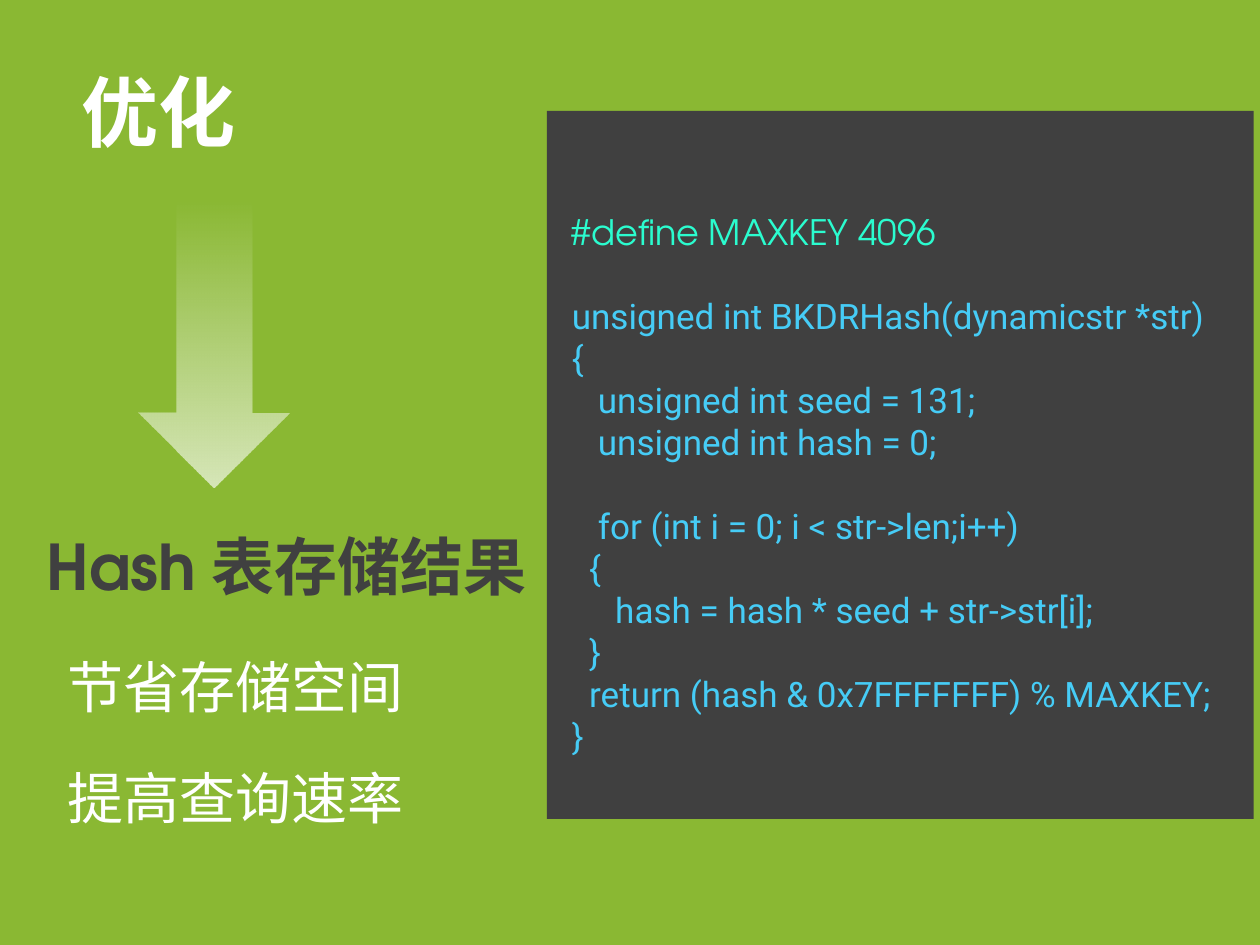
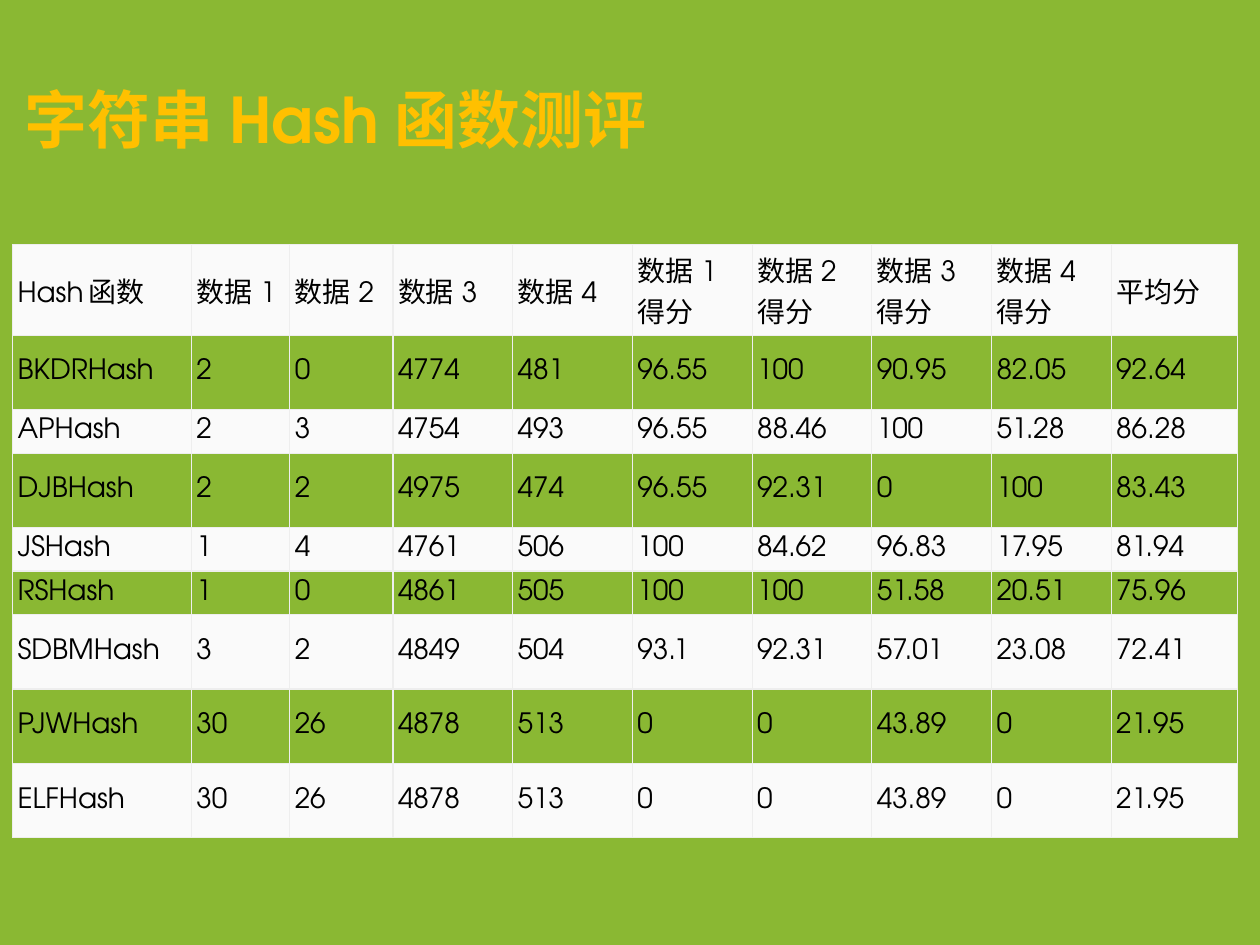
"""Build two slides on storing results in a hash table and comparing string hash functions."""
from dataclasses import dataclass

from lxml.etree import SubElement
from pptx import Presentation
from pptx.dml.color import RGBColor
from pptx.enum.shapes import MSO_SHAPE
from pptx.enum.text import MSO_ANCHOR
from pptx.oxml.ns import qn
from pptx.slide import Slide
from pptx.table import _Cell
from pptx.util import Inches, Pt

COLORS = {
    "background": "8AB833",
    "panel": "404040",
    "white": "FFFFFF",
    "gold": "FFC000",
    "directive": "2BFCCF",
    "code": "46CCF6",
    "black": "000000",
    "row": "FAFAFA",
    "border": "EEEEEE",
}
HEADING_FONT = "TeX Gyre Adventor"
BODY_FONT = "Noto Sans CJK SC"
CODE_FONT = "Roboto"

CODE = """unsigned int BKDRHash(dynamicstr *str)
{
   unsigned int seed = 131;
   unsigned int hash = 0;

   for (int i = 0; i < str->len;i++)
  {
     hash = hash * seed + str->str[i];
  }
  return (hash & 0x7FFFFFFF) % MAXKEY;
}"""

COLUMN_WIDTHS = [1.42, 0.78, 0.82] + [0.95] * 6 + [1]
HEADER_ROW, TALL_ROW, SHORT_ROW = 0.72, 0.59, 0.34
SHORT_ROWS = {"APHash", "JSHash", "RSHash"}
DATASETS = [f"数据{number}" for number in range(1, 5)]
HEADER = ["Hash函数", *DATASETS, *(f"{name}得分" for name in DATASETS), "平均分"]
RESULTS = [
    ["BKDRHash", "2", "0", "4774", "481", "96.55", "100", "90.95", "82.05", "92.64"],
    ["APHash", "2", "3", "4754", "493", "96.55", "88.46", "100", "51.28", "86.28"],
    ["DJBHash", "2", "2", "4975", "474", "96.55", "92.31", "0", "100", "83.43"],
    ["JSHash", "1", "4", "4761", "506", "100", "84.62", "96.83", "17.95", "81.94"],
    ["RSHash", "1", "0", "4861", "505", "100", "100", "51.58", "20.51", "75.96"],
    ["SDBMHash", "3", "2", "4849", "504", "93.1", "92.31", "57.01", "23.08", "72.41"],
    ["PJWHash", "30", "26", "4878", "513", "0", "0", "43.89", "0", "21.95"],
    ["ELFHash", "30", "26", "4878", "513", "0", "0", "43.89", "0", "21.95"],
]


@dataclass(frozen=True)
class Box:
    left: float
    top: float
    width: float
    height: float

    def lengths(self) -> list[int]:
        return [Inches(value) for value in (self.left, self.top, self.width, self.height)]


@dataclass(frozen=True)
class Line:
    text: str
    size: float
    color: str
    font: str = HEADING_FONT
    bold: bool = False
    spacing: float = 1.0
    space_before: float = 0


def rgb(name: str) -> RGBColor:
    return RGBColor.from_string(COLORS[name])


def write_line(paragraph, line: Line) -> None:
    paragraph.text = line.text
    paragraph.line_spacing = line.spacing
    paragraph.space_before = Pt(line.space_before)
    paragraph.font.name = line.font
    paragraph.font.size = Pt(line.size)
    paragraph.font.bold = line.bold
    paragraph.font.color.rgb = rgb(line.color)


def add_text(slide: Slide, box: Box, lines: list[Line]) -> None:
    frame = slide.shapes.add_textbox(*box.lengths()).text_frame
    frame.word_wrap = True
    for index, line in enumerate(lines):
        write_line(frame.add_paragraph() if index else frame.paragraphs[0], line)


def add_title(slide: Slide, box: Box, text: str, size: float, color: str) -> None:
    add_text(slide, box, [Line(text, size, color, bold=True)])


def add_slide(presentation: Presentation) -> Slide:
    slide = presentation.slides.add_slide(presentation.slide_layouts[6])
    slide.background.fill.solid()
    slide.background.fill.fore_color.rgb = rgb("background")
    return slide


def add_panel(slide: Slide, box: Box) -> None:
    panel = slide.shapes.add_shape(MSO_SHAPE.RECTANGLE, *box.lengths())
    panel.shadow.inherit = False
    panel.fill.solid()
    panel.fill.fore_color.rgb = rgb("panel")
    panel.line.fill.background()


def add_fading_arrow(slide: Slide, box: Box) -> None:
    arrow = slide.shapes.add_shape(MSO_SHAPE.UP_ARROW, *box.lengths())
    arrow.rotation = 180
    arrow.shadow.inherit = False
    arrow.line.fill.background()
    arrow.fill.gradient()
    arrow.fill.gradient_angle = 270
    for position, stop in enumerate(arrow.fill.gradient_stops):
        stop.position = position
        stop.color.rgb = rgb("white")
    colors = arrow._element.spPr.iter(qn("a:srgbClr"))
    for color, opacity in zip(colors, (66, 0)):
        SubElement(color, qn("a:alpha"), val=str(opacity * 1000))


def code_lines() -> list[Line]:
    lines, gap = [Line("#define MAXKEY 4096", 20, "directive")], 24
    for text in CODE.splitlines():
        if text:
            lines.append(Line(text, 20, "code", CODE_FONT, space_before=gap))
        gap = 0 if text else 24
    return lines


def style_cell(cell: _Cell, text: str, filled: bool) -> None:
    write_line(cell.text_frame.paragraphs[0], Line(text, 16, "black"))
    cell.vertical_anchor = MSO_ANCHOR.MIDDLE
    cell.margin_left = cell.margin_right = Inches(0.04)
    cell.margin_top = cell.margin_bottom = Inches(0.04)
    properties = cell._tc.get_or_add_tcPr()
    for side in ("lnL", "lnR", "lnT", "lnB"):
        border = SubElement(properties, qn(f"a:{side}"), w=str(Pt(0.75)))
        fill = SubElement(border, qn("a:solidFill"))
        SubElement(fill, qn("a:srgbClr"), val=COLORS["border"])
    if filled:
        cell.fill.solid()
        cell.fill.fore_color.rgb = rgb("row")
    else:
        cell.fill.background()


def row_height(values: list[str]) -> float:
    if values is HEADER:
        return HEADER_ROW
    return SHORT_ROW if values[0] in SHORT_ROWS else TALL_ROW


def add_results_table(slide: Slide, box: Box) -> None:
    rows = [HEADER, *RESULTS]
    table = slide.shapes.add_table(len(rows), len(HEADER), *box.lengths()).table
    table.first_row = table.horz_banding = False
    for column, width in zip(table.columns, COLUMN_WIDTHS):
        column.width = Inches(width)
    for index, (row, values) in enumerate(zip(table.rows, rows)):
        row.height = Inches(row_height(values))
        for cell, text in zip(row.cells, values):
            style_cell(cell, text, filled=index % 2 == 0)


def build_optimization(presentation: Presentation) -> None:
    slide = add_slide(presentation)
    add_panel(slide, Box(4.34, 0.88, 5.61, 5.62))
    add_fading_arrow(slide, Box(1.1, 1.58, 1.2, 2.29))
    benefits = [
        Line(text, 32, "white", BODY_FONT, spacing=1.5, space_before=gap)
        for text, gap in (("节省存储空间", 0), ("提高查询速率", 6))
    ]
    add_text(slide, Box(0.44, 4.86, 3.13, 1.71), benefits)
    add_title(slide, Box(0.27, 4.14, 4.06, 0.71), "Hash表存储结果", 36, "panel")
    add_title(slide, Box(0.55, 0.46, 3.06, 0.84), "优化", 44, "white")
    add_text(slide, Box(4.44, 1.62, 5.56, 4.48), code_lines())


def build_evaluation(presentation: Presentation) -> None:
    slide = add_slide(presentation)
    add_results_table(slide, Box(0.1, 1.94, 9.73, 4.69))
    add_title(slide, Box(0.1, 0.59, 5.33, 0.71), "字符串Hash函数测评", 36, "gold")


def main() -> None:
    presentation = Presentation()
    presentation.slide_width = Inches(10)
    presentation.slide_height = Inches(7.5)
    build_optimization(presentation)
    build_evaluation(presentation)
    presentation.save("out.pptx")


if __name__ == "__main__":
    main()
